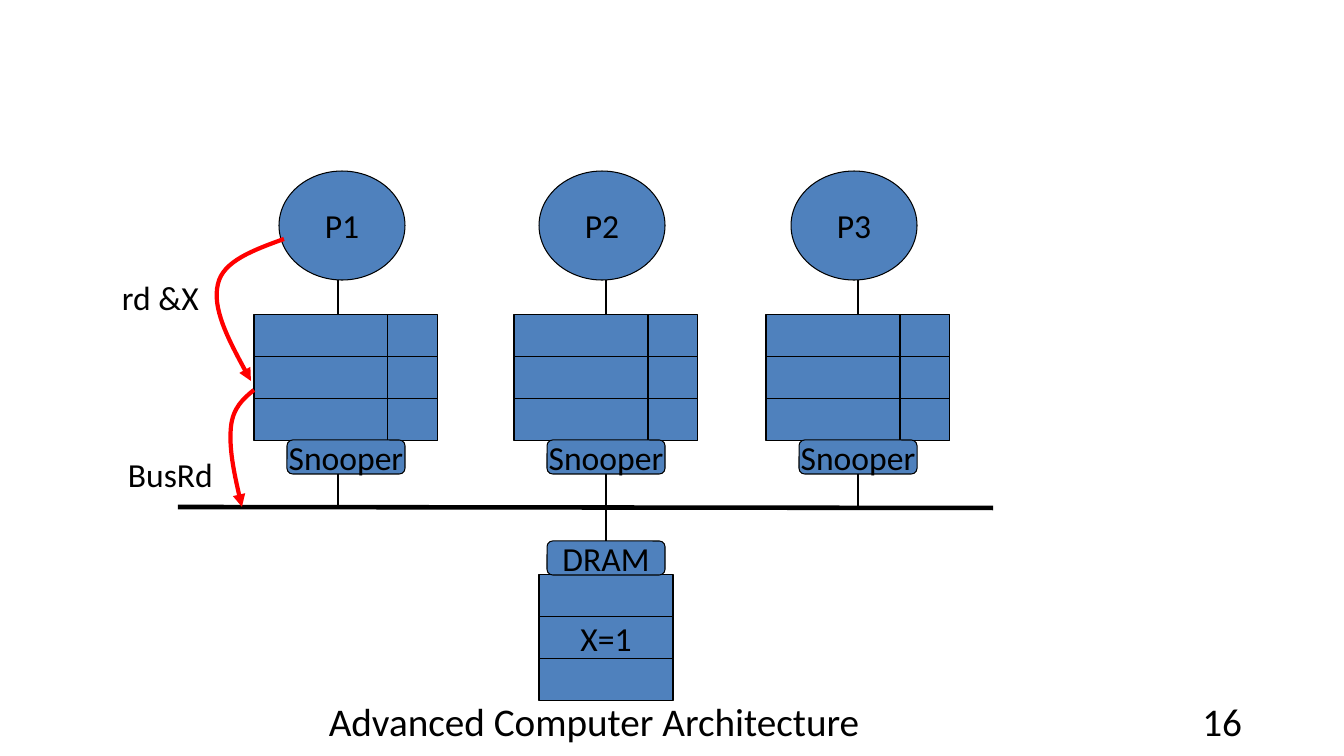
from lxml import etree
from pptx import Presentation
from pptx import util as u
from pptx.dml.color import RGBColor
from pptx.enum import shapes as sh, text as tx
from pptx.oxml import ns

PX = 914400 / 100.8
COLORS = {"box": "4F81BD", "ink": "000000", "request": "FF0000"}
FONT = "Calibri"

PROCESSORS = [("P1", 279, 59), ("P2", 539, 67), ("P3", 791, 67)]
SNOOPER = "Snooper"
MEMORY_ROWS = ["", "X=1", ""]
BUS = (178, 507, 993, 508)
REQUESTS = [
    ("rd &X", (112, 272, 115, 50),
     [(284, 239), (254, 250), (223, 261), (218, 284), (212, 308), (231, 345), (251, 381)]),
    ("BusRd", (118, 449, 126, 50),
     [(254, 390), (243, 399), (233, 408), (231, 427), (229, 448), (235, 478), (242, 507)]),
]
FOOTER = ("Advanced Computer Architecture", (289, 701, 610, 40))
PAGE = ("16", (950, 701, 302, 40))

CIRCLE_TOP, CIRCLE_W, CIRCLE_H = 171, 126, 109
CACHE_TOP, ROW_H, LINE_W, TAG_W = 315, 42, 134, 50
CACHE_SHIFT, SNOOPER_SHIFT = -25, 8
PLATE_W, PLATE_H = 118, 34
SNOOPER_TOP, DRAM_TOP, MEMORY_TOP = 440, 541, 575
BUS_Y = BUS[1]
MEMORY_LEFT = PROCESSORS[1][1]

prs = Presentation()
prs.slide_width, prs.slide_height = u.Inches(13.333), u.Inches(7.5)
slide = prs.slides.add_slide(prs.slide_layouts[6])


def emu(*lengths):
    return [u.Emu(round(length * PX)) for length in lengths]


def color(name):
    return RGBColor.from_string(COLORS[name])


def write(holder, words, size=24, align="CENTER", anchor="MIDDLE", wrap=False, grow=False):
    frame = holder.text_frame
    frame.word_wrap = wrap
    frame.auto_size = tx.MSO_AUTO_SIZE.SHAPE_TO_FIT_TEXT if grow else tx.MSO_AUTO_SIZE.NONE
    frame.vertical_anchor = tx.MSO_ANCHOR[anchor]
    paragraph = frame.paragraphs[0]
    paragraph.alignment = tx.PP_ALIGN[align]
    run = paragraph.add_run()
    run.text = words
    run.font.name, run.font.size = FONT, u.Pt(size)
    run.font.color.rgb = color("ink")


def label(words, place, **style):
    write(slide.shapes.add_textbox(*emu(*place)), words, **style)


def block(kind, left, top, width, height, words=""):
    part = slide.shapes.add_shape(sh.MSO_SHAPE[kind], *emu(left, top, width, height))
    part.shadow.inherit = False
    part.fill.solid()
    part.fill.fore_color.rgb = color("box")
    part.line.color.rgb = color("ink")
    part.line.width = u.Pt(0.75)
    if words:
        write(part, words)
    return part


def wire(x1, y1, x2, y2, width=0.75):
    link = slide.shapes.add_connector(sh.MSO_CONNECTOR.STRAIGHT, *emu(x1, y1, x2, y2))
    link.line.color.rgb = color("ink")
    link.line.width = u.Pt(width)
    etree.SubElement(link.element.spPr, ns.qn("a:effectLst"))
    return link


def curved_arrow(points):
    builder = slide.shapes.build_freeform(*points[0], scale=PX)
    builder.add_line_segments(points[1:], close=False)
    arrow = builder.convert_to_shape()
    arrow.shadow.inherit = False
    arrow.fill.background()
    arrow.line.color.rgb = color("request")
    arrow.line.width = u.Pt(3)
    segments = arrow.element.xpath(".//a:lnTo")
    for first in range(0, len(segments), 3):
        curve = etree.Element(ns.qn("a:cubicBezTo"))
        segments[first].addprevious(curve)
        for segment in segments[first:first + 3]:
            curve.append(segment[0])
            segment.getparent().remove(segment)
    outline = arrow.element.xpath("./p:spPr/a:ln")[0]
    etree.SubElement(outline, ns.qn("a:tailEnd"), type="triangle")


wire(*BUS, width=3.25)

for name, left, wire_shift in PROCESSORS:
    wire_x = left + wire_shift
    block("OVAL", left, CIRCLE_TOP, CIRCLE_W, CIRCLE_H, name)
    wire(wire_x, CIRCLE_TOP + CIRCLE_H, wire_x, CACHE_TOP)
    cache_left = left + CACHE_SHIFT
    for row in range(3):
        row_top = CACHE_TOP + row * ROW_H
        block("RECTANGLE", cache_left, row_top, LINE_W, ROW_H)
        block("RECTANGLE", cache_left + LINE_W, row_top, TAG_W, ROW_H)
    snooper_left = left + SNOOPER_SHIFT
    snooper = block("ROUNDED_RECTANGLE", snooper_left, SNOOPER_TOP, PLATE_W, PLATE_H, SNOOPER)
    bus_wire = wire(wire_x, SNOOPER_TOP + PLATE_H, wire_x, BUS_Y)
    if wire_x == snooper_left + PLATE_W // 2:
        bus_wire.begin_connect(snooper, 2)

for row, words in enumerate(MEMORY_ROWS):
    block("RECTANGLE", MEMORY_LEFT, MEMORY_TOP + row * ROW_H, LINE_W, ROW_H, words)
dram_left = MEMORY_LEFT + SNOOPER_SHIFT
dram_x = dram_left + PLATE_W // 2
dram = block("ROUNDED_RECTANGLE", dram_left, DRAM_TOP, PLATE_W, PLATE_H, "DRAM")
wire(dram_x, BUS_Y, dram_x, DRAM_TOP).end_connect(dram, 0)

for words, place, points in REQUESTS:
    label(words, place, align="LEFT", anchor="TOP", grow=True)
    curved_arrow(points)

label(*FOOTER, size=28, wrap=True)
label(*PAGE, size=28, align="RIGHT", wrap=True)

prs.save("out.pptx")
